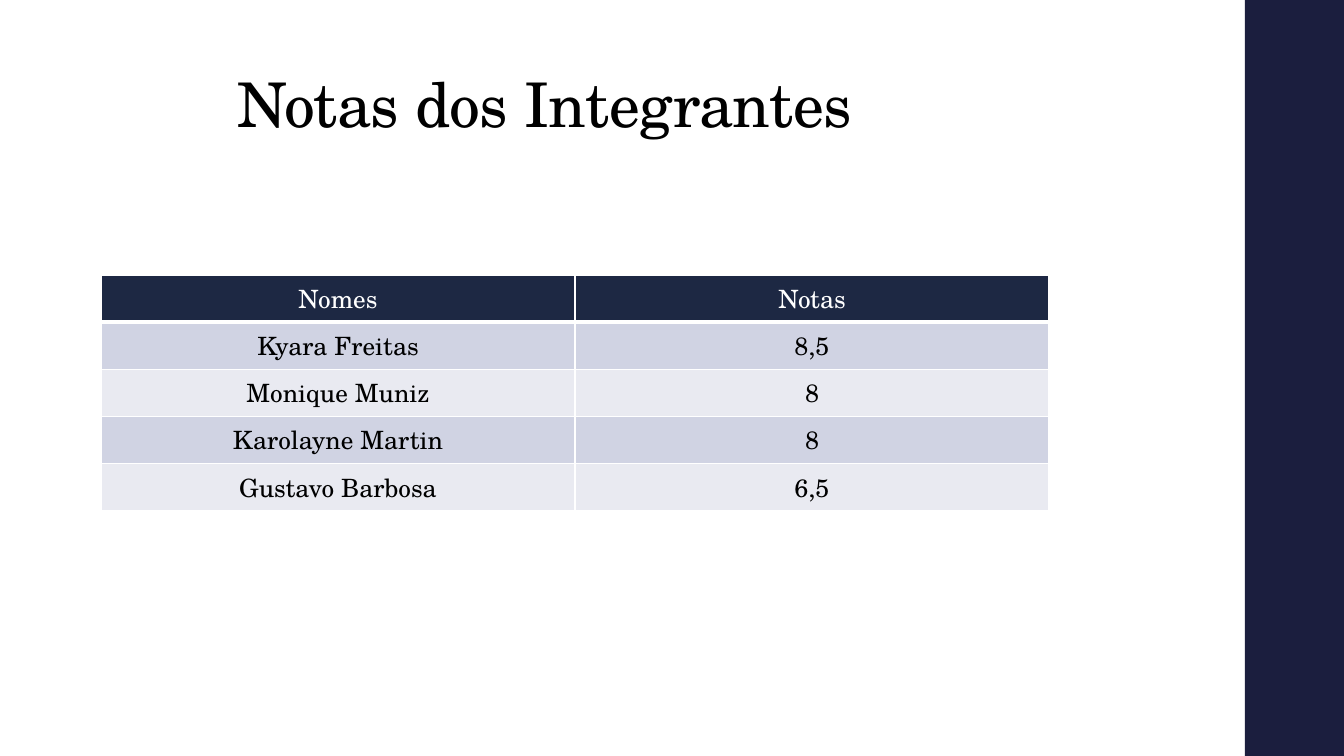
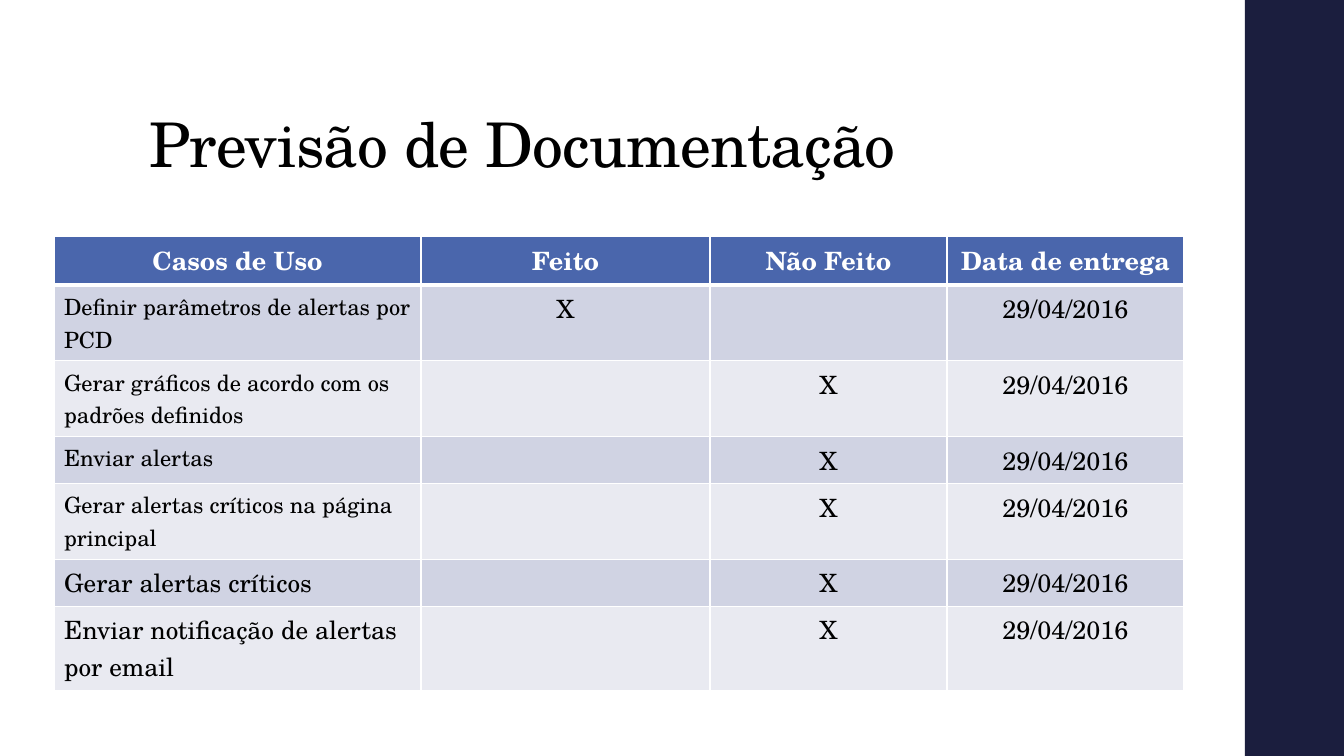
from lxml import etree
from pptx import Presentation
from pptx import util as u
from pptx.dml.color import RGBColor
from pptx.enum import shapes, text
from pptx.oxml.ns import qn

PX = 914400 / 100.8
FONT = "TeX Gyre Schola"
WHITE = RGBColor(0xFF, 0xFF, 0xFF)
BLACK = RGBColor(0, 0, 0)
BAND = RGBColor(0x1B, 0x1E, 0x3E)
NAVY = RGBColor(0x1D, 0x28, 0x43)
BLUE = RGBColor(0x4A, 0x66, 0xAC)
STRIPES = (RGBColor(0xD0, 0xD3, 0xE3), RGBColor(0xE9, 0xEA, 0xF1))

SLIDE_SIZE = (1344, 756)
BAND_BOX = (1245, 0, 99, 756)
TITLE_SIZE = (1068, 146)
ROW_HEIGHT = 41
CENTER, LEFT = text.PP_ALIGN.CENTER, text.PP_ALIGN.LEFT

GRADES = [
    ("Nomes", "Notas"),
    ("Kyara Freitas", "8,5"),
    ("Monique Muniz", "8"),
    ("Karolayne Martin", "8"),
    ("Gustavo Barbosa", "6,5"),
]

DELIVERY = "29/04/2016"
# use case, done, text size
USE_CASES = [
    ("Definir parâmetros de alertas por PCD", True, 16),
    ("Gerar gráficos de acordo com os padrões definidos", False, 16),
    ("Enviar alertas", False, 16),
    ("Gerar alertas críticos na página principal", False, 16),
    ("Gerar alertas críticos", False, 18),
    ("Enviar notificação de alertas por email", False, 18),
]
DOCUMENTATION = [("Casos de Uso", "Feito", "Não Feito", "Data de entrega")] + [
    (case, "X" if done else "", "" if done else "X", DELIVERY)
    for case, done, _ in USE_CASES
]


def px(*lengths):
    return [u.Emu(round(length * PX)) for length in lengths]


def write(frame, words, size=18, color=BLACK, bold=False, align=CENTER,
          line_spacing=None, tracking=None):
    paragraph = frame.paragraphs[0]
    paragraph.alignment = align
    paragraph.line_spacing = line_spacing
    if not words:
        paragraph.font.size = u.Pt(size)
        return
    run = paragraph.add_run()
    run.text = words
    font = run.font
    font.name, font.size, font.bold = FONT, u.Pt(size), bold
    font.color.rgb = color
    if tracking is not None:
        font._element.set("spc", str(round(tracking * 100)))


def add_titled_slide(deck, title, left, top):
    slide = deck.slides.add_slide(deck.slide_layouts[5])
    band = slide.shapes.add_shape(shapes.MSO_SHAPE.RECTANGLE, *px(*BAND_BOX))
    band.shadow.inherit = False
    band.fill.solid()
    band.fill.fore_color.rgb = BAND
    band.line.fill.background()

    heading = slide.shapes.title
    heading.left, heading.top, heading.width, heading.height = px(left, top, *TITLE_SIZE)
    frame = heading.text_frame
    frame.auto_size = text.MSO_AUTO_SIZE.NONE
    frame.vertical_anchor = text.MSO_ANCHOR.BOTTOM
    write(frame, title, size=44, align=LEFT, line_spacing=0.9, tracking=-0.5)
    return slide


def set_borders(cell, **widths):
    """Draw white cell borders; widths in points are keyed L, R, T, B."""
    properties = cell._tc.get_or_add_tcPr()
    for place, side in enumerate("LRTB"):
        line = etree.Element(qn(f"a:ln{side}"), w=str(u.Pt(widths.get(side, 1))))
        fill = etree.SubElement(line, qn("a:solidFill"))
        etree.SubElement(fill, qn("a:srgbClr"), val=str(WHITE))
        properties.insert(place, line)


def add_grid(slide, rows, left, top, widths, header_fill, header_bold=False,
             first_column=None):
    """first_column lists the text sizes of a left-aligned first column."""
    box = px(left, top, sum(widths), ROW_HEIGHT * len(rows))
    table = slide.shapes.add_table(len(rows), len(widths), *box).table
    table.horz_banding = False
    for column, width in zip(table.columns, px(*widths)):
        column.width = width
    for r, row in enumerate(rows):
        table.rows[r].height = px(ROW_HEIGHT)[0]
        for c, words in enumerate(row):
            cell = table.cell(r, c)
            cell.fill.solid()
            cell.fill.fore_color.rgb = STRIPES[(r - 1) % 2] if r else header_fill
            set_borders(cell, T=3 if r == 1 else 1, B=1 if r else 3)
            if r == 0:
                style = dict(color=WHITE, bold=header_bold)
            elif c == 0 and first_column:
                style = dict(size=first_column[r - 1], align=LEFT)
            else:
                style = {}
            write(cell.text_frame, words, **style)


def main():
    deck = Presentation()
    deck.slide_width, deck.slide_height = px(*SLIDE_SIZE)

    grades = add_titled_slide(deck, "Notas dos Integrantes", 227, 0)
    add_grid(grades, GRADES, 101, 275, (474, 474), NAVY)

    documentation = add_titled_slide(deck, "Previsão de Documentação", 139, 40)
    add_grid(documentation, DOCUMENTATION, 54, 236, (367, 289, 237, 237), BLUE,
             header_bold=True, first_column=[size for _, _, size in USE_CASES])

    deck.save("out.pptx")


if __name__ == "__main__":
    main()
